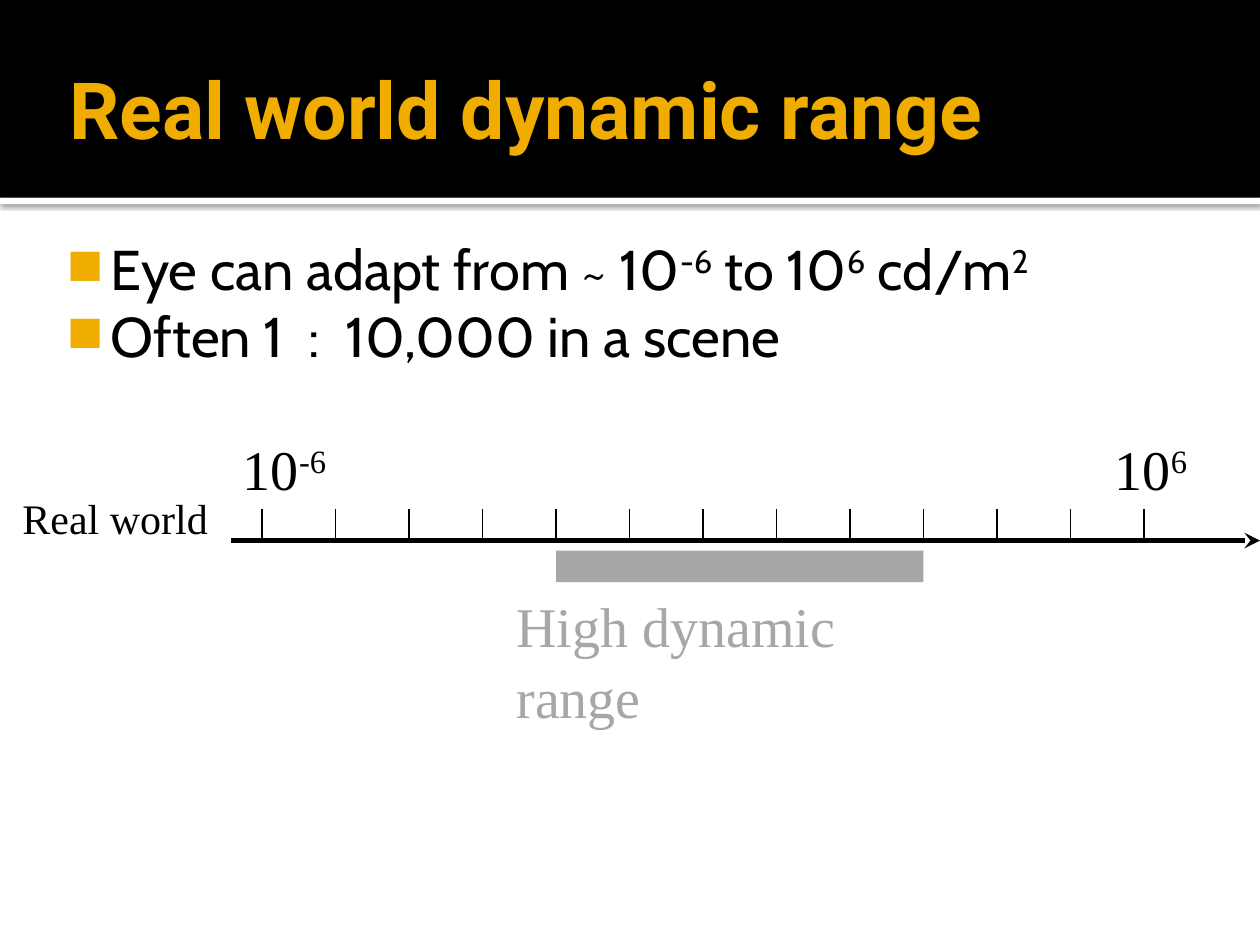
from lxml import etree
from pptx import Presentation
from pptx.dml.color import RGBColor
from pptx.enum.shapes import MSO_CONNECTOR, MSO_SHAPE
from pptx.enum.text import MSO_ANCHOR, MSO_AUTO_SIZE
from pptx.oxml.ns import qn
from pptx.util import Inches, Pt

RECT = MSO_SHAPE.RECTANGLE
LINE = MSO_CONNECTOR.STRAIGHT
MIDDLE = MSO_ANCHOR.MIDDLE
GROW = MSO_AUTO_SIZE.SHAPE_TO_FIT_TEXT
BLACK, WHITE, GOLD, GRAY = "000000", "FFFFFF", "F0AD00", "A7A7A7"
SERIF = "Times New Roman"

TITLE = [("Real world dynamic range", 0)]
POINTS = [
    [("Eye can adapt from ~ 10", 0), ("-6", 1), (" to 10", 0), ("6", 1),
     (" cd/m", 0), ("2", 1)],
    [("Often 1  :  10,000 in a scene", 0)],
]
LABELS = [
    ([("10", 0), ("-6", 1)], (1.83, 3.37, 0.89, 0.63), 32, BLACK, False),
    ([("10", 0), ("6", 1)], (8.75, 3.37, 0.79, 0.63), 32, BLACK, False),
    ([("Real world", 0)], (0.08, 3.84, 1.67, 0.5), 24, BLACK, False),
    ([("High dynamic range", 0)], (4, 4.62, 3.7, 0.63), 32, GRAY, True),
]
TICKS, FIRST, STEP = 13, 2.08, 7 / 12
AXIS, RISE = 4.29, 0.25
RANGE = (4, 9)


def color(code):
    return RGBColor.from_string(code)


def add(node, tag, **attrs):
    return etree.SubElement(node, qn(tag), attrs)


def bar(slide, spot, fill):
    shape = slide.shapes.add_shape(RECT, *map(Inches, spot))
    shape.shadow.inherit = False
    shape.fill.solid()
    shape.fill.fore_color.rgb = color(fill)
    shape.line.fill.background()
    return shape


def shade(shape):
    effects = shape._element.spPr.find(qn("a:effectLst"))
    glow = add(effects, "a:outerShdw", blurRad=str(Pt(3)), dist=str(Pt(0.8)),
               dir="5400000", algn="t", rotWithShape="0")
    add(add(glow, "a:srgbClr", val=BLACK), "a:alpha", val="60000")


def line(slide, start, end, width, head=None):
    wire = slide.shapes.add_connector(LINE, *map(Inches, start + end))
    wire.line.color.rgb = color(BLACK)
    wire.line.width = Pt(width)
    if head:
        add(wire.line._get_or_add_ln(), "a:tailEnd", type=head)
    add(wire._element.spPr, "a:effectLst")


def box(slide, spot, side, wrap=True, **frame):
    text = slide.shapes.add_textbox(*map(Inches, spot)).text_frame
    form = dict(word_wrap=wrap, margin_left=Inches(side),
                margin_right=Inches(side), margin_top=Inches(0.05),
                margin_bottom=Inches(0.05), **frame)
    for key, value in form.items():
        setattr(text, key, value)
    return text


def write(para, runs, tint, **form):
    for words, power in runs:
        run = para.add_run()
        run.text = words
        for key, value in form.items():
            setattr(run.font, key, value)
        run.font.color.rgb = color(tint)
        if power:
            run.font._element.set("baseline", "30000")


def bullet(para):
    props = para._p.get_or_add_pPr()
    props.set("marL", str(Inches(0.48)))
    props.set("indent", str(Inches(-0.35)))
    add(add(props, "a:buClr"), "a:srgbClr", val=GOLD)
    add(props, "a:buSzPct", val="80000")
    add(props, "a:buChar", char="◼")


def main():
    deck = Presentation()
    deck.slide_width, deck.slide_height = Inches(10), Inches(7.5)
    slide = deck.slides.add_slide(deck.slide_layouts[6])

    shade(bar(slide, (0, 1.57, 10, 0.05), WHITE))
    bar(slide, (0, 0, 10, 1.57), BLACK)
    title = box(slide, (0.5, 0.17, 9, 1.37), 0.05, vertical_anchor=MIDDLE)
    write(title.paragraphs[0], TITLE, GOLD, name="Roboto", size=Pt(45), bold=True)

    body = box(slide, (0.35, 1.81, 9.2, 5.17), 0.05)
    for i, runs in enumerate(POINTS):
        para = body.add_paragraph() if i else body.paragraphs[0]
        bullet(para)
        write(para, runs, BLACK, name="Cabin", size=Pt(32))

    marks = [FIRST + i * STEP for i in range(TICKS)]
    for x in marks:
        line(slide, (x, AXIS - RISE), (x, AXIS), 1)
    line(slide, (1.83, AXIS), (10, AXIS), 3, "stealth")
    low, high = (marks[i] for i in RANGE)
    bar(slide, (low, 4.37, high - low, 0.25), GRAY)

    for runs, spot, size, tint, wrap in LABELS:
        para = box(slide, spot, 0.1, wrap, auto_size=GROW).paragraphs[0]
        para.line_spacing = 1.05
        write(para, runs, tint, name=SERIF, size=Pt(size))

    deck.save("out.pptx")


if __name__ == "__main__":
    main()
